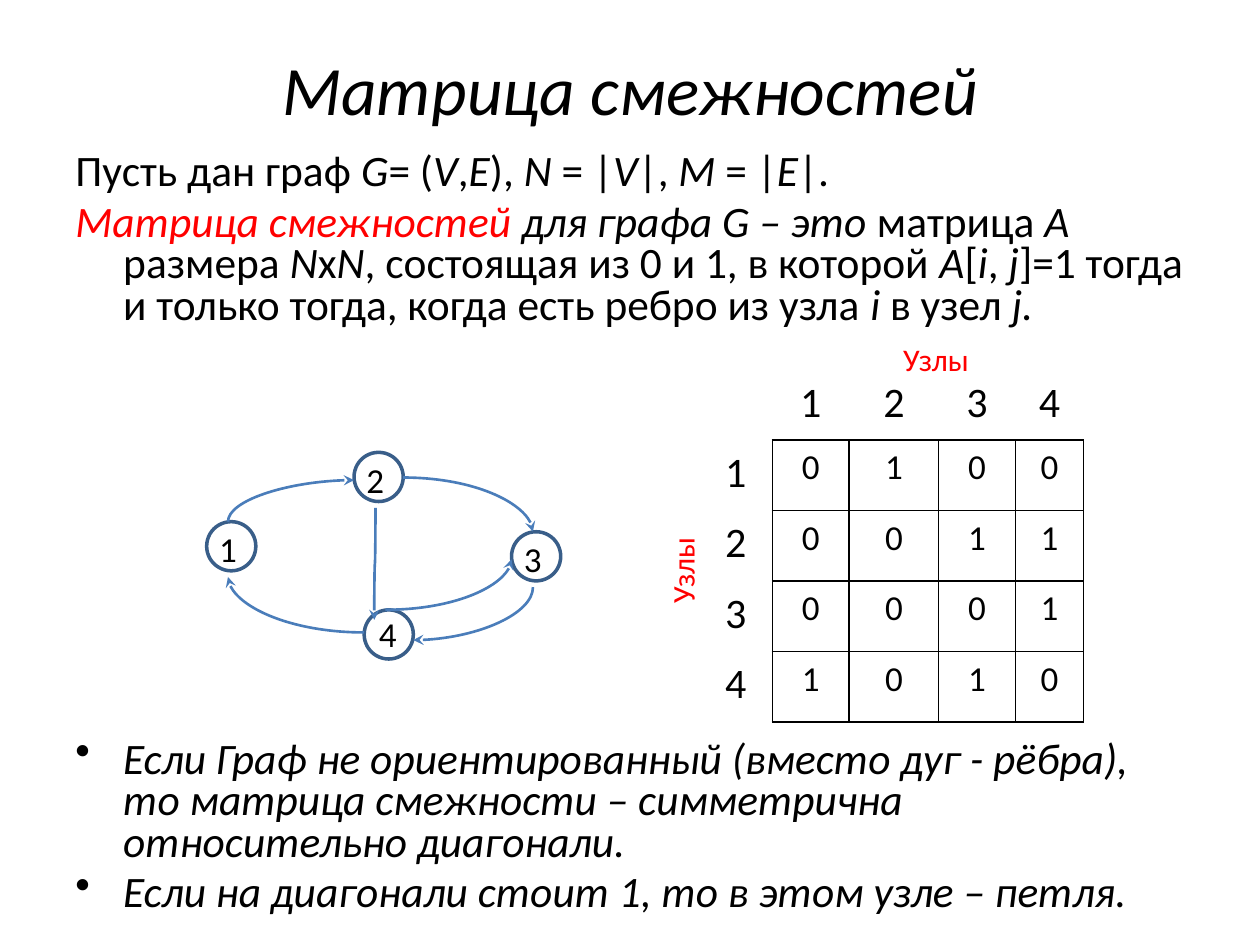
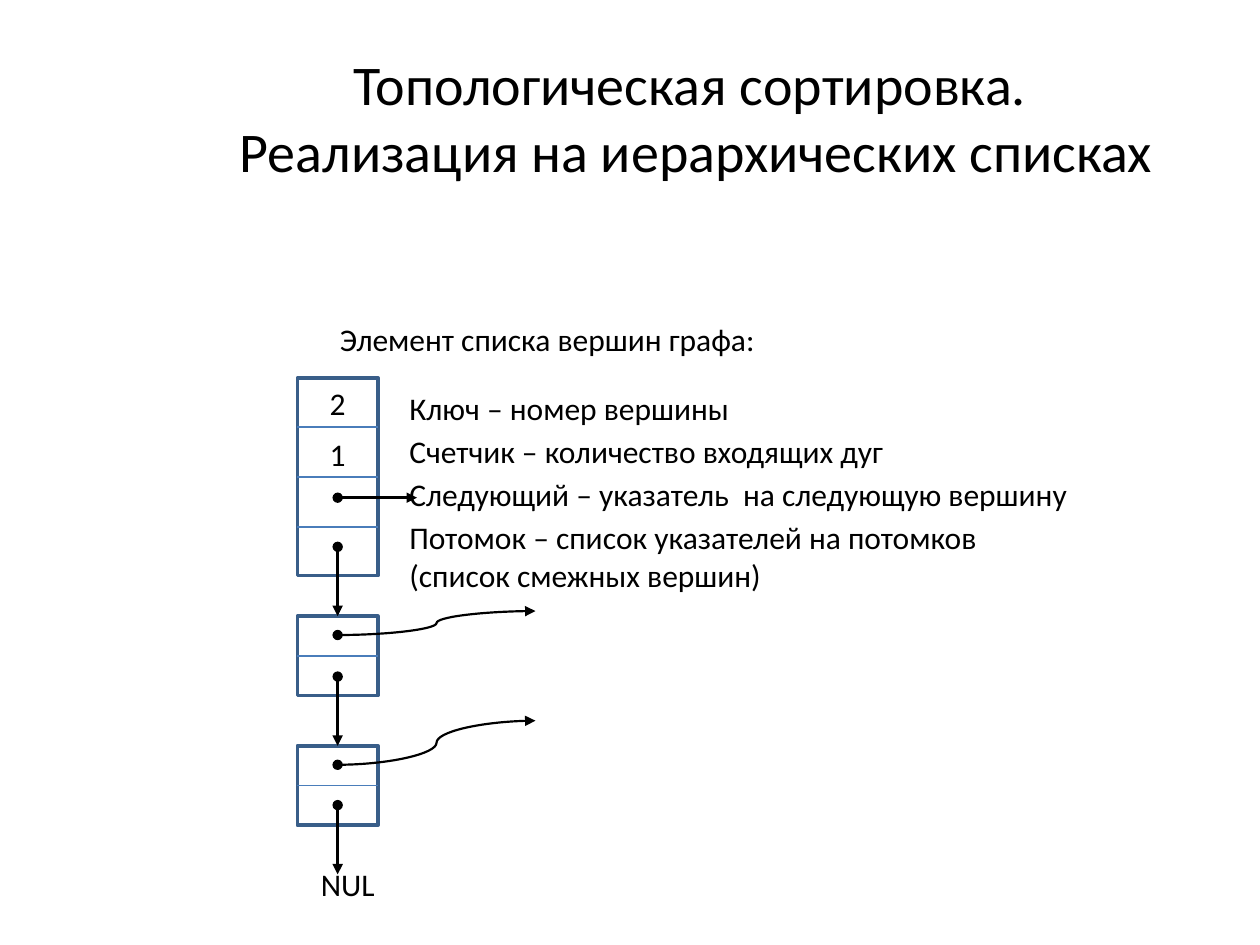
from dataclasses import dataclass
from typing import Any, NamedTuple

from lxml import etree
from pptx import Presentation
from pptx.dml.color import RGBColor
from pptx.enum.shapes import MSO_CONNECTOR, MSO_SHAPE
from pptx.enum.text import MSO_ANCHOR, PP_ALIGN
from pptx.oxml.ns import qn
from pptx.util import Emu, Pt

PX = 9144  # 100 px to the inch
FONT = "Calibri"
COLORS = {"text": "000000", "accent": "FF0000", "outline": "395E89", "line": "4A7DBA"}
LEFT, CENTER = PP_ALIGN.LEFT, PP_ALIGN.CENTER
TOP, MIDDLE = MSO_ANCHOR.TOP, MSO_ANCHOR.MIDDLE
STRAIGHT, CURVE = MSO_CONNECTOR.STRAIGHT, MSO_CONNECTOR.CURVE
OVAL, RECTANGLE = MSO_SHAPE.OVAL, MSO_SHAPE.RECTANGLE
SIDE_TOP, SIDE_LEFT, SIDE_RIGHT = 0, 1, 3
PLAIN_TABLE_STYLE = "{2D5ABB26-0587-4C30-8999-92F81FD0307C}"
HANGING = 38

BODY_FORMAT = {"line_spacing": 0.8}
BODY_NEXT_FORMAT = {"line_spacing": 0.8, "space_before": Pt(5)}
FIELD_NEXT_FORMAT = {"space_before": Pt(3)}
CELL_FORMAT = {"line_spacing": 1.15, "alignment": CENTER}
CELL_MARGINS = {"margin_left": Emu(7 * PX), "margin_right": Emu(7 * PX),
                "margin_top": 0, "margin_bottom": 0}


class Box(NamedTuple):
    left: int
    top: int
    width: int
    height: int


class Point(NamedTuple):
    x: int
    y: int


class Run(NamedTuple):
    """Text in which asterisks switch italics on and off."""
    text: str
    color: str = "text"


@dataclass
class Line:
    color: str
    width: float
    head: str = ""
    tail: str = ""


@dataclass
class GraphNode:
    label: str
    left: int
    top: int
    label_left: int
    label_top: int


@dataclass
class Arc:
    start: Point
    end: Point
    preset: str = "curvedConnector2"
    leaves_vertically: bool = False


@dataclass
class ListNode:
    top: int
    height: int
    rows: int


EDGE = Line("line", 1.5, tail="stealth")
DIVIDER = Line("line", 1)
POINTER = Line("text", 1.5, "oval", "triangle")
CHILD_POINTER = Line("text", 1.25, "oval", "triangle")

GRAPH_NODES = [
    GraphNode("1", 164, 414, 164, 414),
    GraphNode("4", 289, 484, 291, 481),
    GraphNode("2", 281, 359, 281, 359),
    GraphNode("3", 406, 422, 406, 422),
]
ARCS = [
    Arc(Point(181, 414), Point(281, 381), leaves_vertically=True),
    Arc(Point(423, 466), Point(328, 508), leaves_vertically=True),
    Arc(Point(298, 403), Point(297, 492), "curvedConnector3", True),
    Arc(Point(306, 484), Point(406, 444)),
    Arc(Point(289, 502), Point(181, 458)),
    Arc(Point(320, 379), Point(423, 422)),
]
ADJACENCY = ["0100", "0011", "0001", "1010"]
COLUMN_WIDTHS = [58, 61, 71, 61, 54]
ROW_HEIGHTS = [55, 56, 56, 56, 56]

DEFINITION = [
    [Run("Пусть дан граф *G*= (*V*,*E*), *N* = |*V*|, *M* = |*E*|.")],
    [Run("*Матрица смежностей *", "accent"),
     Run("*для графа G – это *матрица *A* размера *N*х*N*, состоящая из 0 и 1, "
         "в которой *A*[*i*, *j*]=1 тогда и только тогда, когда есть ребро "
         "из узла *i* в узел* j.*")],
]
REMARKS = [
    [Run("*Если Граф не ориентированный (вместо дуг - рёбра), то матрица "
         "смежности – симметрична относительно диагонали.*")],
    [Run("*Если на диагонали стоит 1, то в этом узле – петля.*")],
]
FIELDS = [[Run(text)] for text in (
    "Ключ – номер вершины",
    "Счетчик – количество входящих дуг",
    "Следующий – указатель  на следующую вершину",
    "Потомок – список указателей на потомков (список смежных вершин)",
)]

LIST_LEFT, LIST_WIDTH = 236, 64
LIST_CENTER = LIST_LEFT + LIST_WIDTH // 2
VERTEX = ListNode(300, 157, 4)
CHILDREN = [ListNode(489, 63, 2), ListNode(592, 63, 2)]
CHILD_TARGETS = [Point(425, 485), Point(425, 572)]
LIST_END = 694
POINTER_LENGTH = 55


def apply_format(target: Any, values: dict) -> None:
    for attribute, value in values.items():
        setattr(target, attribute, value)


def rgb(color: str) -> RGBColor:
    return RGBColor.from_string(COLORS[color])


def emu(lengths: tuple) -> list[Emu]:
    return [Emu(round(length * PX)) for length in lengths]


def write_runs(paragraph: Any, runs: list[Run], size: float) -> None:
    for run in runs:
        for index, piece in enumerate(run.text.split("*")):
            if not piece:
                continue
            part = paragraph.add_run()
            part.text = piece
            apply_format(part.font, {"name": FONT, "size": Pt(size), "italic": index % 2 == 1})
            part.font.color.rgb = rgb(run.color)


def indent_hanging(paragraph: Any, bulleted: bool) -> None:
    properties = paragraph._p.get_or_add_pPr()
    properties.set("marL", str(HANGING * PX))
    properties.set("indent", str(-HANGING * PX))
    if bulleted:
        etree.SubElement(properties, qn("a:buChar")).set("char", "•")


def add_text(slide: Any, box: Box, paragraphs: list[list[Run]], size: float,
             align: Any = LEFT, first: dict | None = None, following: dict | None = None,
             anchor: Any = TOP, rotation: int = 0) -> Any:
    text_box = slide.shapes.add_textbox(*emu(box))
    text_box.rotation = rotation
    frame = text_box.text_frame
    apply_format(frame, {"word_wrap": True, "vertical_anchor": anchor})
    for index, runs in enumerate(paragraphs):
        paragraph = frame.add_paragraph() if index else frame.paragraphs[0]
        paragraph.alignment = align
        apply_format(paragraph, (following if index else first) or {})
        write_runs(paragraph, runs, size)
    return frame


def add_title(slide: Any, box: Box, lines: list[str], size: float) -> None:
    paragraph = add_text(slide, box, [[]], size, CENTER, anchor=MIDDLE).paragraphs[0]
    for index, line in enumerate(lines):
        if index:
            paragraph.add_line_break()
        write_runs(paragraph, [Run(line)], size)


def add_body(slide: Any, box: Box, paragraphs: list[list[Run]], bulleted: bool) -> None:
    frame = add_text(slide, box, paragraphs, 24.8, first=BODY_FORMAT, following=BODY_NEXT_FORMAT)
    for paragraph in frame.paragraphs:
        indent_hanging(paragraph, bulleted)


def add_outline(slide: Any, preset: Any, box: Box) -> Any:
    shape = slide.shapes.add_shape(preset, *emu(box))
    shape.shadow.inherit = False
    shape.fill.background()
    shape.line.color.rgb = rgb("outline")
    shape.line.width = Pt(2)
    return shape


def add_line(slide: Any, kind: Any, start: tuple, end: tuple, line: Line) -> Any:
    connector = slide.shapes.add_connector(kind, *emu((*start, *end)))
    connector.line.color.rgb = rgb(line.color)
    connector.line.width = Pt(line.width)
    properties = connector._element.spPr
    for tag, arrowhead in (("a:headEnd", line.head), ("a:tailEnd", line.tail)):
        if arrowhead:
            etree.SubElement(properties.find(qn("a:ln")), qn(tag)).set("type", arrowhead)
    etree.SubElement(properties, qn("a:effectLst"))
    return connector


def add_arc(slide: Any, arc: Arc) -> None:
    """Draw a curved edge; one that leaves vertically is a quarter-turned curve."""
    start, end = arc.start, arc.end
    turn = 0
    if arc.leaves_vertically:
        turn = 90 if end.y > start.y else 270
        middle_x, middle_y = (start.x + end.x) / 2, (start.y + end.y) / 2
        half_width, half_height = abs(end.y - start.y) / 2, abs(end.x - start.x) / 2
        start = (middle_x - half_width, middle_y - half_height)
        end = (middle_x + half_width, middle_y + half_height)
    properties = add_line(slide, CURVE, start, end, EDGE)._element.spPr
    properties.find(qn("a:prstGeom")).set("prst", arc.preset)
    if turn:
        properties.find(qn("a:xfrm")).set("rot", str(turn * 60000))


def add_cell_borders(cell: Any, sides: str) -> None:
    properties = cell._tc.get_or_add_tcPr()
    for side in sides:
        border = etree.SubElement(properties, qn(f"a:ln{side}"), w=str(Pt(1)))
        fill = etree.SubElement(border, qn("a:solidFill"))
        etree.SubElement(fill, qn("a:srgbClr")).set("val", COLORS["text"])


def add_adjacency_table(slide: Any) -> None:
    box = Box(555, 294, sum(COLUMN_WIDTHS), sum(ROW_HEIGHTS))
    count = len(ADJACENCY) + 1
    frame = slide.shapes.add_table(count, count, *emu(box))
    table = frame.table
    apply_format(table, {"first_row": False, "horz_banding": False})
    table._tbl.tblPr.find(qn("a:tableStyleId")).text = PLAIN_TABLE_STYLE
    for index in range(count):
        table.columns[index].width = Emu(COLUMN_WIDTHS[index] * PX)
        table.rows[index].height = Emu(ROW_HEIGHTS[index] * PX)
    numbers = "".join(str(number) for number in range(1, count))
    rows = [" " + numbers] + [number + row for number, row in zip(numbers, ADJACENCY)]
    for row, values in enumerate(rows):
        for column, value in enumerate(values):
            cell = table.cell(row, column)
            apply_format(cell, CELL_MARGINS)
            sides = "LRTB" if row and column else "R" if row else "B" if column else ""
            add_cell_borders(cell, sides)
            cell.fill.background()
            paragraph = cell.text_frame.paragraphs[0]
            apply_format(paragraph, CELL_FORMAT)
            write_runs(paragraph, [Run(value.strip())], 20 if row and column else 24)


def add_list_node(slide: Any, node: ListNode) -> Any:
    """Draw a box split into equal rows and return it."""
    outline = add_outline(slide, RECTANGLE, Box(LIST_LEFT, node.top, LIST_WIDTH, node.height))
    for row in range(1, node.rows):
        y = node.top + round(node.height * row / node.rows)
        divider = add_line(slide, STRAIGHT, (LIST_LEFT, y), (LIST_LEFT + LIST_WIDTH, y), DIVIDER)
        if row * 2 == node.rows:
            divider.begin_connect(outline, SIDE_LEFT)
            divider.end_connect(outline, SIDE_RIGHT)
    return outline


def build_matrix_slide(slide: Any) -> None:
    add_title(slide, Box(50, 30, 900, 79), ["*Матрица смежностей*"], 39.6)
    add_body(slide, Box(50, 117, 900, 150), DEFINITION, False)
    add_body(slide, Box(50, 583, 900, 160), REMARKS, True)
    for node in GRAPH_NODES:
        add_outline(slide, OVAL, Box(node.left, node.top, 39, 39))
    for arc in ARCS:
        add_arc(slide, arc)
    for node in GRAPH_NODES:
        add_text(slide, Box(node.label_left, node.label_top, 34, 44), [[Run(node.label)]], 20)
    add_adjacency_table(slide)
    for left, top, rotation in ((505, 432, 270), (707, 265, 0)):
        add_text(slide, Box(left, top, 73, 40), [[Run("Узлы", "accent")]], 18, rotation=rotation)


def build_list_slide(slide: Any) -> None:
    add_title(slide, Box(156, 30, 794, 125),
              ["Топологическая сортировка. ", "Реализация на иерархических списках"], 32)
    add_text(slide, Box(260, 249, 417, 40), [[Run("Элемент списка вершин графа:")]], 18)
    add_text(slide, Box(315, 304, 555, 174), FIELDS, 18, following=FIELD_NEXT_FORMAT)
    outlines = [add_list_node(slide, node) for node in (VERTEX, *CHILDREN)]
    for left, top, value in ((LIST_LEFT, 300, "2"), (LIST_LEFT, 340, "1"), (244, 682, "NUL")):
        add_text(slide, Box(left, top, LIST_WIDTH, 40), [[Run(value)]], 18, CENTER)
    add_line(slide, STRAIGHT, (LIST_CENTER, 395), (LIST_CENTER + 63, 395), POINTER)
    for index, end in enumerate([*(child.top for child in CHILDREN), LIST_END], start=1):
        pointer = add_line(slide, STRAIGHT, (LIST_CENTER, end - POINTER_LENGTH),
                           (LIST_CENTER, end), POINTER)
        if index < len(outlines):
            pointer.end_connect(outlines[index], SIDE_TOP)
    for child, target in zip(CHILDREN, CHILD_TARGETS):
        add_line(slide, CURVE, (LIST_CENTER, child.top + 15), target, CHILD_POINTER)


def main() -> None:
    presentation = Presentation()
    apply_format(presentation, {"slide_width": Emu(1000 * PX), "slide_height": Emu(750 * PX)})
    blank = presentation.slide_layouts[6]
    for build in (build_matrix_slide, build_list_slide):
        build(presentation.slides.add_slide(blank))
    presentation.save("out.pptx")


if __name__ == "__main__":
    main()
